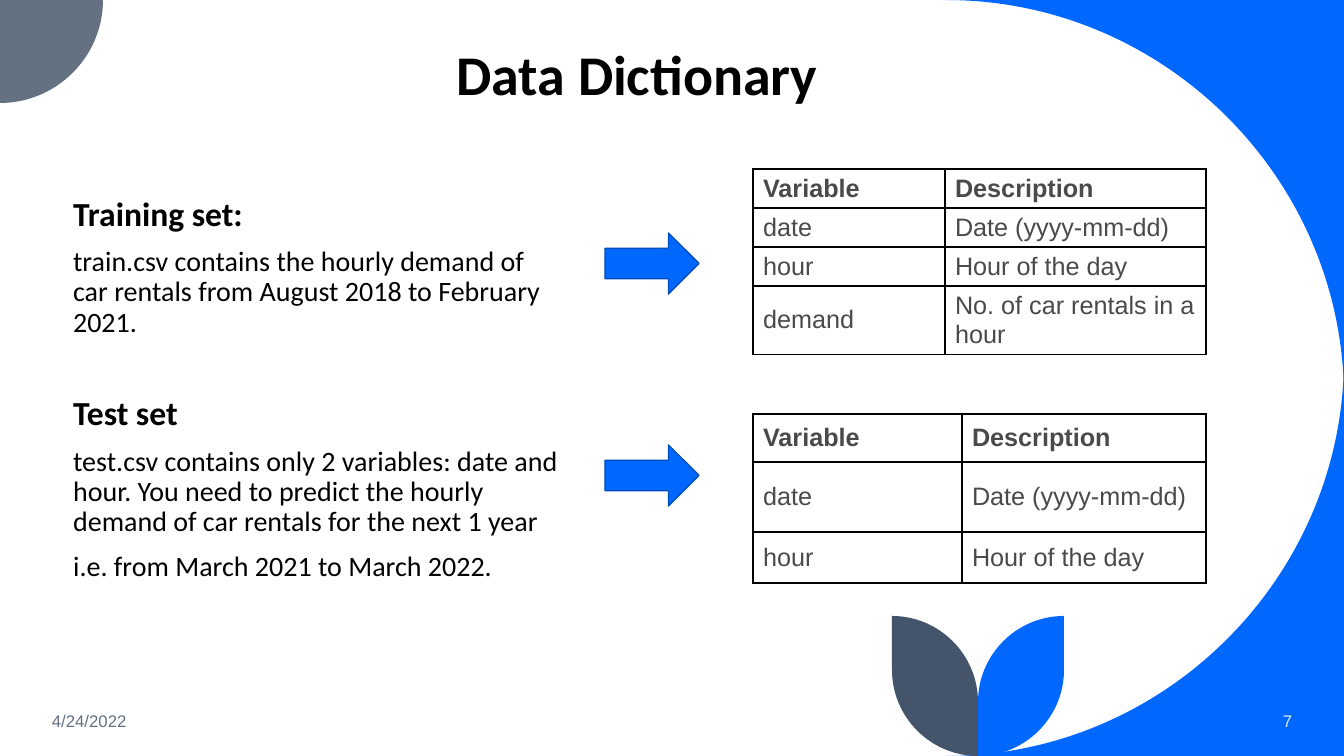
from lxml import etree
from pptx import Presentation
from pptx.dml.color import RGBColor
from pptx.enum.shapes import MSO_SHAPE
from pptx.enum.text import MSO_ANCHOR, MSO_AUTO_SIZE, PP_ALIGN
from pptx.oxml.ns import qn
from pptx.util import Pt

PX = 914400 / 100.8
WIDTH, HEIGHT = 1344, 756
RIGHT_ARROW = MSO_SHAPE.RIGHT_ARROW
LEFT, CENTER, RIGHT = PP_ALIGN.LEFT, PP_ALIGN.CENTER, PP_ALIGN.RIGHT
MIDDLE, BOTTOM = MSO_ANCHOR.MIDDLE, MSO_ANCHOR.BOTTOM
NO_AUTOFIT = MSO_AUTO_SIZE.NONE
BLUE, SLATE, GREY = "0068FF", "44546A", "637183"
ROUNDNESS = 0.55


def px(*lengths):
    """Turn pixel lengths into a list of EMU."""
    return [round(length * PX) for length in lengths]


def rgb(color):
    return RGBColor.from_string(color)


presentation = Presentation()
presentation.slide_width, presentation.slide_height = px(WIDTH, HEIGHT)
slide = presentation.slides.add_slide(presentation.slide_layouts[1])
shapes = slide.shapes
title, body = shapes.title, slide.placeholders[1]

# Curved corners and leaves: start, then (end,) for a line
# or (corner, end) for a quarter curve rounding that corner
CURVE, CORNER, LEAF = 398, 103, 86
STEM, LEAF_TOP, LEAF_LOW, STEM_TOP = 978, 616, 670, 702
outlines = [
    (BLUE, (WIDTH, 0), [((WIDTH - CURVE, 0),),
                        ((WIDTH, 0), (WIDTH, CURVE))]),
    (BLUE, (WIDTH, HEIGHT - CURVE), [((WIDTH, HEIGHT), (WIDTH - CURVE, HEIGHT)),
                                     ((WIDTH, HEIGHT),)]),
    (GREY, (0, 0), [((CORNER, 0),), ((CORNER, CORNER), (0, CORNER))]),
]
for color, tip in ((BLUE, STEM + LEAF), (SLATE, STEM - LEAF)):
    outlines.append((color, (tip, LEAF_TOP), [
        ((tip, LEAF_LOW),),
        ((tip, HEIGHT), (STEM, HEIGHT)),
        ((STEM, STEM_TOP),),
        ((STEM, LEAF_TOP), (tip, LEAF_TOP)),
    ]))
for color, start, segments in outlines:
    points = [start]
    for *corner, end in segments:
        if corner:
            begin = points[-1]
            for anchor in (begin, end):
                points.append([a + (c - a) * ROUNDNESS
                               for a, c in zip(anchor, corner[0])])
        points.append(end)
    first, *rest = [px(*point) for point in points]
    builder = shapes.build_freeform(*first)
    builder.add_line_segments(rest, close=True)
    shape = builder.convert_to_shape()
    shape.shadow.inherit = False
    shape.fill.solid()
    shape.fill.fore_color.rgb = rgb(color)
    shape.line.fill.background()
    title._element.addprevious(shape._element)
    lines = iter(list(shape._element.iter(qn("a:lnTo"))))
    for segment in segments:
        line = next(lines)
        if len(segment) == 2:
            line.tag = qn("a:cubicBezTo")
            for _ in range(2):
                control = next(lines)
                line.append(control[0])
                control.getparent().remove(control)

# Title
title.left, title.top, title.width, title.height = px(129, 42, 1078, 74)
frame = title.text_frame
frame.text = "Data Dictionary"
frame.auto_size = NO_AUTOFIT
frame.word_wrap = True
frame.vertical_anchor = BOTTOM
frame.margin_right, frame.margin_bottom = px(72, 8)
paragraph = frame.paragraphs[0]
paragraph.alignment = CENTER
paragraph.line_spacing = 0.9
font = paragraph.runs[0].font
font.name, font.size, font.bold = "Calibri", Pt(40), True
font.color.rgb = rgb("000000")

# Description of both sets: text, is heading, space before
descriptions = [
    ("Training set:", True, 10),
    ("train.csv contains the hourly demand of car rentals from August 2018 "
     "to February 2021.", False, 10),
    ("Test set", True, 42),
    ("test.csv contains only 2 variables: date and hour. You need to predict "
     "the hourly demand of car rentals for the next 1 year", False, 10),
    ("i.e. from March 2021 to March 2022.", False, 10),
]
body.left, body.top, body.width, body.height = px(63, 192, 510, 371)
frame = body.text_frame
frame.text = "\n".join(text for text, _, _ in descriptions)
frame.auto_size = NO_AUTOFIT
frame.word_wrap = True
for paragraph, (_, heading, space) in zip(frame.paragraphs, descriptions):
    paragraph.alignment = LEFT
    paragraph.line_spacing = 0.9
    paragraph.space_before = Pt(space)
    properties = paragraph._p.get_or_add_pPr()
    properties.set("marL", "0")
    properties.set("indent", "0")
    etree.SubElement(properties, qn("a:buNone"))
    font = paragraph.runs[0].font
    font.name, font.size, font.bold = "Calibri", Pt(24 if heading else 20), heading
    font.color.rgb = rgb("000000")

# Date and slide number
footers = [
    ("4/24/2022", 42, 302, LEFT, GREY),
    ("7", 1119, 183, RIGHT, "DAE5EF"),
]
for text, left, width, alignment, color in footers:
    frame = shapes.add_textbox(*px(left, 701, width, 40)).text_frame
    frame.text = text
    frame.word_wrap = True
    frame.vertical_anchor = MIDDLE
    paragraph = frame.paragraphs[0]
    paragraph.alignment = alignment
    font = paragraph.runs[0].font
    font.name, font.size = "Arial", Pt(12)
    font.color.rgb = rgb(color)

# Variable tables: top, column widths, row heights, rows
common_rows = [
    ("Variable", "Description"),
    ("date", "Date (yyyy-mm-dd)"),
    ("hour", "Hour of the day"),
]
tables = [
    (169, (192, 261), (39, 39, 39, 66),
     common_rows + [("demand", "No. of car rentals in a hour")]),
    (414, (209, 244), (48, 70, 51), common_rows),
]
for top, widths, heights, rows in tables:
    table = shapes.add_table(
        len(rows), len(widths), *px(753, top, sum(widths), sum(heights))).table
    table.first_row = table.horz_banding = False
    for column, width in zip(table.columns, px(*widths)):
        column.width = width
    for row, height in zip(table.rows, px(*heights)):
        row.height = height
    for row_index, row in enumerate(rows):
        for column_index, text in enumerate(row):
            cell = table.cell(row_index, column_index)
            cell.text = text
            cell.vertical_anchor = MIDDLE
            cell.margin_top, cell.margin_bottom = px(4, 4)
            cell.fill.solid()
            cell.fill.fore_color.rgb = rgb("FFFFFF")
            font = cell.text_frame.paragraphs[0].runs[0].font
            font.name, font.size, font.bold = "Arial", Pt(18), row_index == 0
            font.color.rgb = rgb("4A4A4A")
            properties = cell._tc.get_or_add_tcPr()
            for index, side in enumerate(("lnL", "lnR", "lnT", "lnB")):
                border = etree.Element(qn(f"a:{side}"), w=str(Pt(1)))
                fill = etree.SubElement(border, qn("a:solidFill"))
                etree.SubElement(fill, qn("a:srgbClr"), val="000000")
                properties.insert(index, border)

# Arrows from each description to its table
for top in (233, 445):
    arrow = shapes.add_shape(RIGHT_ARROW, *px(605, top, 94, 61))
    arrow.shadow.inherit = False
    arrow.fill.solid()
    arrow.fill.fore_color.rgb = rgb(BLUE)
    arrow.line.color.rgb = rgb("004DBD")
    arrow.line.width = Pt(1)

presentation.save("out.pptx")
